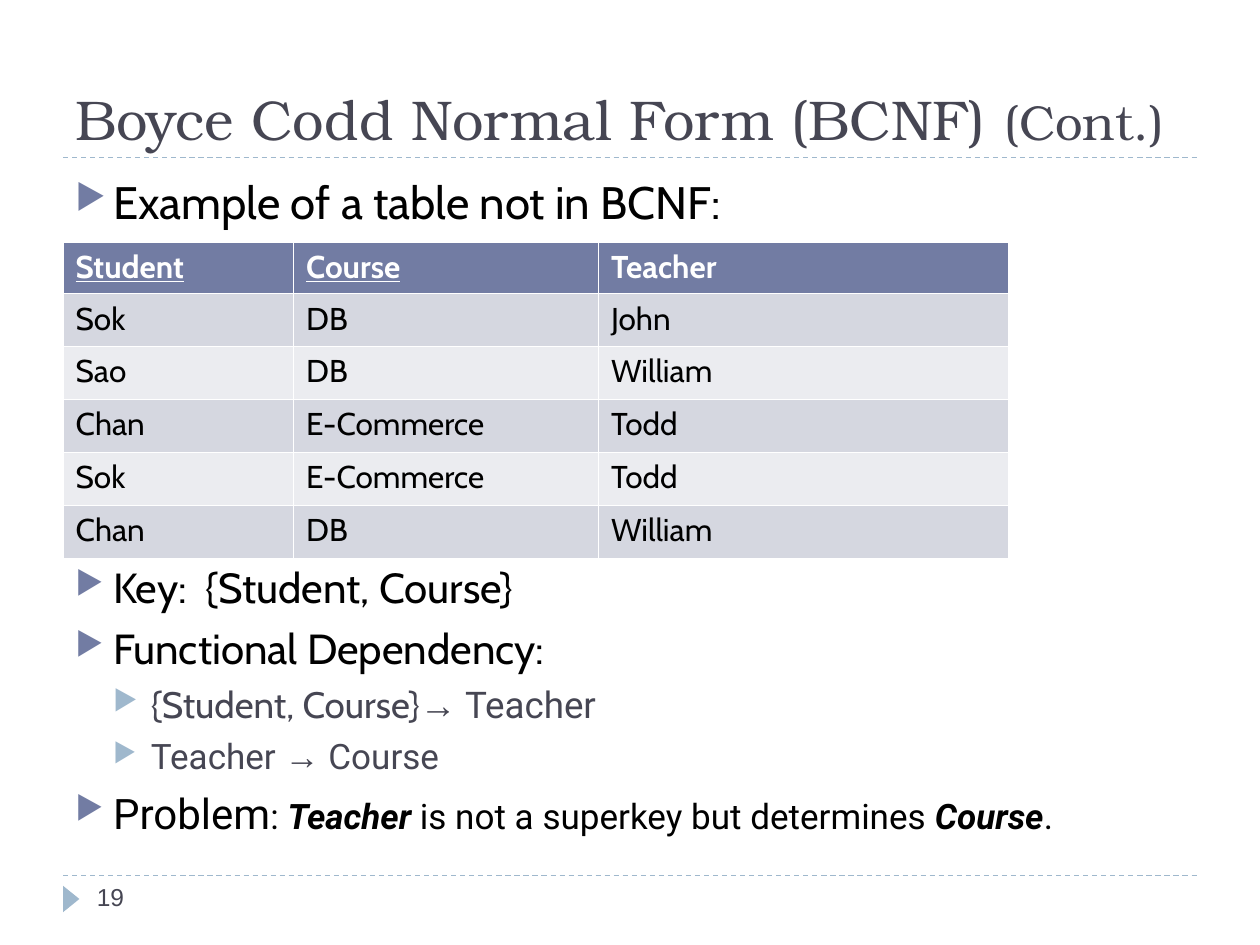
from lxml import etree
from pptx import Presentation
from pptx import util as u
from pptx.dml.color import RGBColor
from pptx.enum import dml, shapes, text
from pptx.oxml.ns import qn

INK, SLATE, WHITE = "000000", "464653", "FFFFFF"
INDIGO, SKY = "727CA3", "9FB8CD"
BANDS = ("D5D7E0", "EBECF0")
SERIF, SANS, BODY, PLAIN = "TeX Gyre Bonum", "Cabin", "Roboto", "Arial"

ROWS = [
    ("Student", "Course", "Teacher"),
    ("Sok", "DB", "John"),
    ("Sao", "DB", "William"),
    ("Chan", "E-Commerce", "Todd"),
    ("Sok", "E-Commerce", "Todd"),
    ("Chan", "DB", "William"),
]
KEY_COLUMNS = ("Student", "Course")
COLUMN_WIDTHS = (1.83, 2.42, 3.25)

HEADING = [(0, [("Example of a table not in BCNF:", 26, SANS, "")])]
NOTES = [
    (0, [("Key:  {Student, Course}", 24, SANS, "")]),
    (0, [("Functional Dependency:", 24, SANS, "")]),
    (1, [("{Student, Course}", 21, SANS, ""), ("→", 21, PLAIN, ""),
         (" Teacher", 21, BODY, "")]),
    (1, [("Teacher ", 20, BODY, ""), ("→", 20, PLAIN, ""),
         (" Course", 20, BODY, "")]),
    (0, [("Problem", 24, BODY, ""), (": ", 20, BODY, ""),
         ("Teacher", 20, BODY, "bi"),
         (" is not a superkey but determines ", 20, BODY, ""),
         ("Course", 20, BODY, "bi"), (".", 20, BODY, "")]),
]


def color(value):
    return RGBColor.from_string(value)


def add_span(para, words, size, font, ink, style=""):
    span = para.add_run()
    span.text = words
    span.font.size = u.Pt(size)
    span.font.name = font
    span.font.color.rgb = color(ink)
    span.font.bold = "b" in style
    span.font.italic = "i" in style
    span.font.underline = "u" in style


def add_box(page, left, top, width, height, anchor=text.MSO_ANCHOR.TOP):
    box = page.shapes.add_textbox(*map(u.Inches, (left, top, width, height)))
    box.text_frame.word_wrap = True
    box.text_frame.vertical_anchor = anchor
    return box.text_frame


def add_bullet(para, level):
    props = para._p.get_or_add_pPr()
    props.set("marL", str(u.Inches(0.3 * (level + 1))))
    props.set("indent", str(u.Inches(-0.3)))
    paint = etree.SubElement(props, qn("a:buClr"))
    etree.SubElement(paint, qn("a:srgbClr"), val=(INDIGO, SKY)[level])
    etree.SubElement(props, qn("a:buSzPct"), val="76000")
    etree.SubElement(props, qn("a:buChar"), char="▶")


def add_bullets(page, top, height, items):
    frame = add_box(page, 0.5, top, 9, height)
    for index, (level, spans) in enumerate(items):
        para = frame.add_paragraph() if index else frame.paragraphs[0]
        para.level = level
        add_bullet(para, level)
        if index:
            para.space_before = u.Pt(6 - level)
        for words, size, font, style in spans:
            add_span(para, words, size, font, (INK, SLATE)[level], style)


def add_rule(page, y):
    rule = page.shapes.add_connector(
        shapes.MSO_CONNECTOR.STRAIGHT,
        u.Inches(0.5), u.Inches(y), u.Inches(9.5), u.Inches(y))
    rule.line.color.rgb = color(SKY)
    rule.line.width = u.Pt(0.75)
    rule.line.dash_style = dml.MSO_LINE.DASH
    etree.SubElement(rule._element.spPr, qn("a:effectLst"))


def add_marker(page):
    marker = page.shapes.add_shape(
        shapes.MSO_SHAPE.ISOSCELES_TRIANGLE,
        *map(u.Inches, (0.46, 7.07, 0.21, 0.13)))
    marker.rotation = 90
    marker.shadow.inherit = False
    marker.fill.solid()
    marker.fill.fore_color.rgb = color(SKY)
    marker.line.fill.background()


def add_borders(cell, row):
    props = cell._tc.get_or_add_tcPr()
    heavy = {0: "lnB", 1: "lnT"}.get(row)
    for side in ("lnL", "lnR", "lnT", "lnB"):
        width = u.Pt(0.75 if side == heavy else 0.23)
        border = etree.SubElement(props, qn("a:" + side), w=str(width))
        paint = etree.SubElement(border, qn("a:solidFill"))
        etree.SubElement(paint, qn("a:srgbClr"), val=WHITE)


def add_course_table(page):
    table = page.shapes.add_table(
        len(ROWS), len(COLUMN_WIDTHS),
        *map(u.Inches, (0.5, 1.92, 7.5, 2.5))).table
    for column, width in zip(table.columns, COLUMN_WIDTHS):
        column.width = u.Inches(width)
    for row, values in enumerate(ROWS):
        table.rows[row].height = u.Inches(0.42 if row else 0.41)
        for column, value in enumerate(values):
            cell = table.cell(row, column)
            add_borders(cell, row)
            cell.fill.solid()
            cell.fill.fore_color.rgb = color(
                BANDS[(row - 1) % 2] if row else INDIGO)
            para = cell.text_frame.paragraphs[0]
            para.line_spacing = 0.98
            style = "" if row else "bu" if value in KEY_COLUMNS else "b"
            add_span(para, value, 18, SANS, INK if row else WHITE, style)


def main():
    deck = Presentation()
    deck.slide_width, deck.slide_height = u.Inches(10), u.Inches(7.5)
    page = deck.slides.add_slide(deck.slide_layouts[6])
    for y in (6.95, 1.25):
        add_rule(page, y)
    add_marker(page)
    title = add_box(page, 0.5, 0.17, 9, 1.08, text.MSO_ANCHOR.BOTTOM)
    add_span(title.paragraphs[0], "Boyce Codd Normal Form (BCNF) ", 32, SERIF, SLATE)
    add_span(title.paragraphs[0], "(Cont.)", 28, SERIF, SLATE)
    add_bullets(page, 1.33, 0.55, HEADING)
    add_bullets(page, 4.41, 2.32, NOTES)
    number = add_box(page, 0.67, 6.95, 2.17, 0.4)
    add_span(number.paragraphs[0], "19", 14, PLAIN, SLATE)
    add_course_table(page)
    deck.save("out.pptx")


if __name__ == "__main__":
    main()
